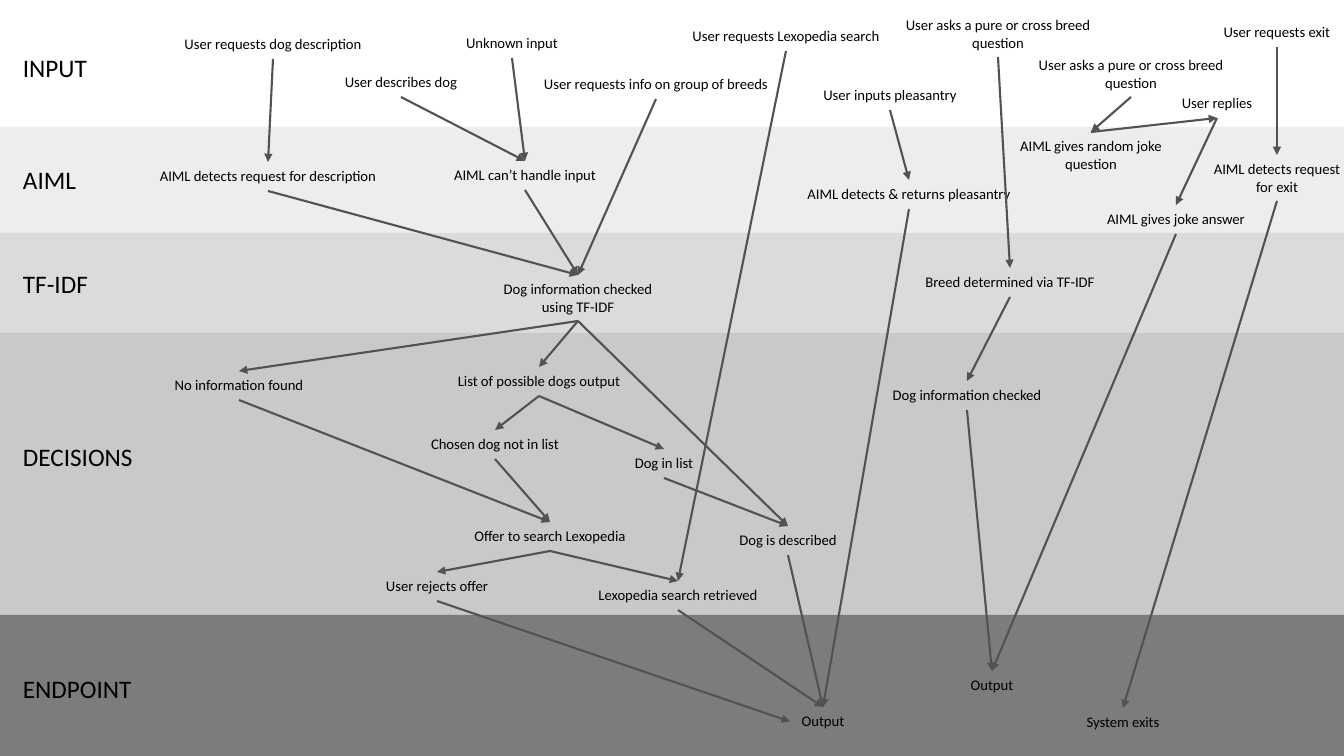
from lxml import etree
from pptx import Presentation
from pptx.dml.color import RGBColor
from pptx.enum.shapes import MSO_CONNECTOR, MSO_SHAPE
from pptx.enum.text import MSO_AUTO_SIZE, PP_ALIGN
from pptx.oxml.ns import qn
from pptx.util import Pt

LEFT, CENTER = PP_ALIGN.LEFT, PP_ALIGN.CENTER
FIT = MSO_AUTO_SIZE.SHAPE_TO_FIT_TEXT
RECT, STRAIGHT = MSO_SHAPE.RECTANGLE, MSO_CONNECTOR.STRAIGHT
TOP, SIDE, BASE = 0, 1, 2  # connection sites of a text box

BLACK = RGBColor(0x00, 0x00, 0x00)
ARROW = RGBColor(0x52, 0x52, 0x52)
WHITE = RGBColor(0xFF, 0xFF, 0xFF)
PALE = RGBColor(0xED, 0xED, 0xED)
LIGHT = RGBColor(0xDB, 0xDB, 0xDB)
MID = RGBColor(0xC9, 0xC9, 0xC9)
DARK = RGBColor(0x7C, 0x7C, 0x7C)

WIDE, HIGH = 1344, 756
SCALE = 914400 / 100.8


def emu(*sizes):
    return [round(size * SCALE) for size in sizes]


class Chart:
    font = {"name": "Calibri"}
    frame = {"word_wrap": True, "auto_size": FIT}

    def __init__(self, slide):
        self.shapes = slide.shapes

    def band(self, top, base, color):
        shape = self.shapes.add_shape(RECT, *emu(0, top, WIDE, base - top))
        shape.shadow.inherit = False
        shape.fill.solid()
        shape.fill.fore_color.rgb = color
        shape.line.fill.background()

    def text(self, words, left, top, width, height, size, align):
        box = self.shapes.add_textbox(*emu(left, top, width, height))
        for key, value in self.frame.items():
            setattr(box.text_frame, key, value)
        box.text_frame.text = words
        for para in box.text_frame.paragraphs:
            para.alignment = align
            for key, value in {**self.font, "size": Pt(size)}.items():
                setattr(para.font, key, value)
            para.font.color.rgb = BLACK
        return box

    def node(self, words, mid, top, width, lines=1):
        height = 12 + 17 * lines
        return self.text(words, mid - width / 2, top, width, height, 10.5, CENTER)

    def arrow(self, start, end, out=BASE, into=TOP):
        line = self.shapes.add_connector(STRAIGHT, 0, 0, 0, 0)
        line.begin_connect(start, out)
        line.end_connect(end, into)
        line.line.color.rgb = ARROW
        line.line.width = Pt(1.5)
        tip = etree.SubElement(line.line._get_or_add_ln(), qn("a:tailEnd"))
        tip.set("type", "triangle")
        etree.SubElement(line._element.spPr, qn("a:effectLst"))


deck = Presentation()
deck.slide_width, deck.slide_height = emu(WIDE, HIGH)
chart = Chart(deck.slides.add_slide(deck.slide_layouts[6]))

# Layers: name, top of band, top of label, fill
LAYERS = [
    ("INPUT", 0, 47, WHITE),
    ("AIML", 127, 159, PALE),
    ("TF-IDF", 233, 263, LIGHT),
    ("DECISIONS", 333, 436, MID),
    ("ENDPOINT", 615, 668, DARK),
]
ends = [layer[1] for layer in LAYERS[1:]] + [HIGH]
for (name, top, label, color), base in zip(LAYERS, ends):
    chart.band(top, base, color)
    chart.text(name, 13, label, 154, 40, 18, LEFT)

# Steps: text, middle, top, width, lines
STEPS = {
    # Input
    "request": ("User requests dog description", 273, 30, 211),
    "describe": ("User describes dog", 401, 68, 142),
    "unknown": ("Unknown input", 512, 29, 142),
    "group": ("User requests info on group of breeds", 656, 70, 265),
    "search": ("User requests Lexopedia search", 786, 22, 212),
    "chat": ("User inputs pleasantry", 890, 81, 216),
    "breed": ("User asks a pure or cross breed question", 998, 11, 216, 2),
    "ask": ("User asks a pure or cross breed question", 1131, 51, 216, 2),
    "reply": ("User replies", 1217, 89, 108),
    "exit": ("User requests exit", 1277, 18, 142),
    # AIML
    "detect": ("AIML detects request for description", 268, 162, 357),
    "stuck": ("AIML can’t handle input", 525, 161, 196),
    "polite": ("AIML detects & returns pleasantry", 909, 180, 268),
    "joke": ("AIML gives random joke question", 1091, 132, 216, 2),
    "answer": ("AIML gives joke answer", 1176, 205, 216),
    "leave": ("AIML detects request\nfor exit", 1277, 155, 203, 2),
    # TF-IDF
    "check": ("Dog information checked\nusing TF-IDF", 578, 275, 262, 2),
    "match": ("Breed determined via TF-IDF", 1010, 268, 203),
    # Decisions
    "none": ("No information found", 239, 371, 169),
    "list": ("List of possible dogs output", 539, 367, 194),
    "absent": ("Chosen dog not in list", 495, 430, 175),
    "found": ("Dog in list", 664, 449, 131),
    "offer": ("Offer to search Lexopedia", 550, 522, 179),
    "reject": ("User rejects offer", 437, 572, 179),
    "fetch": ("Lexopedia search retrieved", 678, 581, 216),
    "tell": ("Dog is described", 788, 526, 122),
    "facts": ("Dog information checked", 967, 381, 174),
    # Endpoint
    "output": ("Output", 823, 707, 66),
    "result": ("Output", 992, 671, 66),
    "close": ("System exits", 1123, 708, 110),
}
nodes = {key: chart.node(*step) for key, step in STEPS.items()}

# Arrows run from the base of one step to the top of the next
FLOWS = {
    "request": "detect", "describe": "stuck", "unknown": "stuck",
    "group": "check", "search": "fetch", "chat": "polite",
    "breed": "match", "ask": "joke", "reply": "answer", "exit": "leave",
    "detect": "check", "stuck": "check", "polite": "output",
    "answer": "result", "leave": "close",
    "check": "none list tell", "match": "facts",
    "none": "offer", "list": "absent found", "absent": "offer",
    "found": "tell", "offer": "reject fetch", "fetch": "output",
    "tell": "output", "facts": "result",
}
for start, ends in FLOWS.items():
    for end in ends.split():
        chart.arrow(nodes[start], nodes[end])
chart.arrow(nodes["reject"], nodes["output"], into=SIDE)
chart.arrow(nodes["joke"], nodes["reply"], out=TOP, into=BASE)

deck.save("out.pptx")
